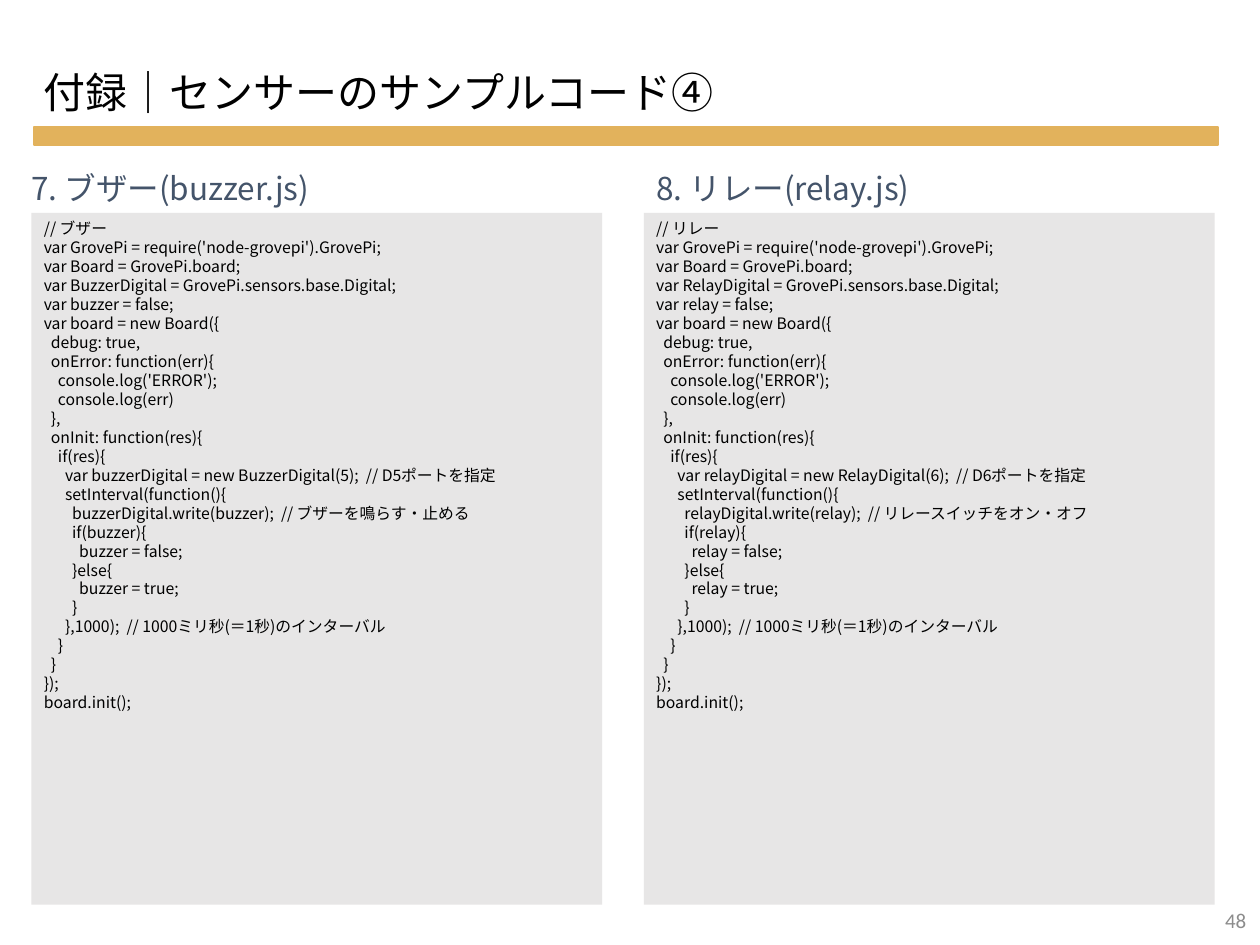
from lxml.etree import SubElement
from pptx import Presentation
from pptx.dml.color import RGBColor
from pptx.enum.shapes import MSO_SHAPE
from pptx.enum.text import MSO_ANCHOR, PP_ALIGN
from pptx.oxml.ns import qn
from pptx.util import Inches, Pt

GOLD = RGBColor(0xE2, 0xB2, 0x5C)
PALE = RGBColor(0xE7, 0xE6, 0xE6)
BLACK = RGBColor(0, 0, 0)
SLATE = RGBColor(0x44, 0x54, 0x6A)
GRAY = RGBColor(0x8C, 0x8C, 0x8C)
NOTO = "Noto Sans CJK JP"

TITLE = "付録｜センサーのサンプルコード④"
PAGE = "48"
PARTS = [
    {"head": "7. ブザー(buzzer.js)", "left": 0.25, "shift": -0.1, "width": 2.82,
     "words": {"@Name": "Buzzer", "@name": "buzzer", "@port": "5",
               "@label": "ブザー", "@note": "ブザーを鳴らす・止める"}},
    {"head": "8. リレー(relay.js)", "left": 5.11, "shift": 0, "width": 2.59,
     "words": {"@Name": "Relay", "@name": "relay", "@port": "6",
               "@label": "リレー", "@note": "リレースイッチをオン・オフ"}},
]
CODE = """// @label
var GrovePi = require('node-grovepi').GrovePi;
var Board = GrovePi.board;
var @NameDigital = GrovePi.sensors.base.Digital;
var @name = false;
var board = new Board({
  debug: true,
  onError: function(err){
    console.log('ERROR');
    console.log(err)
  },
  onInit: function(res){
    if(res){
      var @nameDigital = new @NameDigital(@port);  // D@portポートを指定
      setInterval(function(){
        @nameDigital.write(@name);  // @note
        if(@name){
          @name = false;
        }else{
          @name = true;
        }
      },1000);  // 1000ミリ秒(＝1秒)のインターバル
    }
  }
});
board.init();"""

FORMS = {
    "title": {"name": NOTO, "size": Pt(24), "color": BLACK},
    "head": {"name": NOTO, "size": Pt(18), "color": SLATE},
    "code": {"name": NOTO, "size": Pt(9), "color": BLACK},
    "page": {"name": "Calibri", "size": Pt(12), "color": GRAY},
}


def write(shape, lines, form, align=PP_ALIGN.LEFT, anchor=MSO_ANCHOR.TOP, wrap=True):
    frame = shape.text_frame
    frame.word_wrap = wrap
    frame.vertical_anchor = anchor
    for i, line in enumerate(lines):
        para = frame.paragraphs[0] if i == 0 else frame.add_paragraph()
        para.alignment = align
        para.line_spacing = Pt(round(form["size"].pt * 1.204, 2))
        run = para.add_run()
        run.text = line
        for key, value in form.items():
            if key == "color":
                run.font.color.rgb = value
            else:
                setattr(run.font, key, value)
        SubElement(run.font._element, qn("a:ea"), typeface=form["name"])


def add_text(slide, spot, text, form, **rest):
    box = slide.shapes.add_textbox(*map(Inches, spot))
    write(box, [text], form, **rest)


def add_rect(slide, spot, fill):
    rect = slide.shapes.add_shape(MSO_SHAPE.RECTANGLE, *map(Inches, spot))
    rect.shadow.inherit = False
    rect.fill.solid()
    rect.fill.fore_color.rgb = fill
    rect.line.fill.background()
    return rect


def main():
    deck = Presentation()
    deck.slide_width, deck.slide_height = Inches(10), Inches(7.5)
    slide = deck.slides.add_slide(deck.slide_layouts[6])

    bar = add_rect(slide, (0.27, 1.01, 9.4, 0.14), GOLD)
    bar.line.color.rgb = GOLD
    bar.line.width = Pt(1)
    add_text(slide, (0.25, 0.48, 9.39, 0.51), TITLE, FORMS["title"])
    add_text(slide, (7.66, 7.1, 2.33, 0.4), PAGE, FORMS["page"],
             align=PP_ALIGN.RIGHT, anchor=MSO_ANCHOR.MIDDLE)

    for part in PARTS:
        left = part["left"]
        add_text(slide, (left + part["shift"], 1.29, part["width"], 0.4),
                 part["head"], FORMS["head"], wrap=False)
        code = CODE
        for mark, word in part["words"].items():
            code = code.replace(mark, word)
        panel = add_rect(slide, (left, 1.69, 4.53, 5.49), PALE)
        write(panel, code.split("\n"), FORMS["code"])

    deck.save("out.pptx")


if __name__ == "__main__":
    main()
